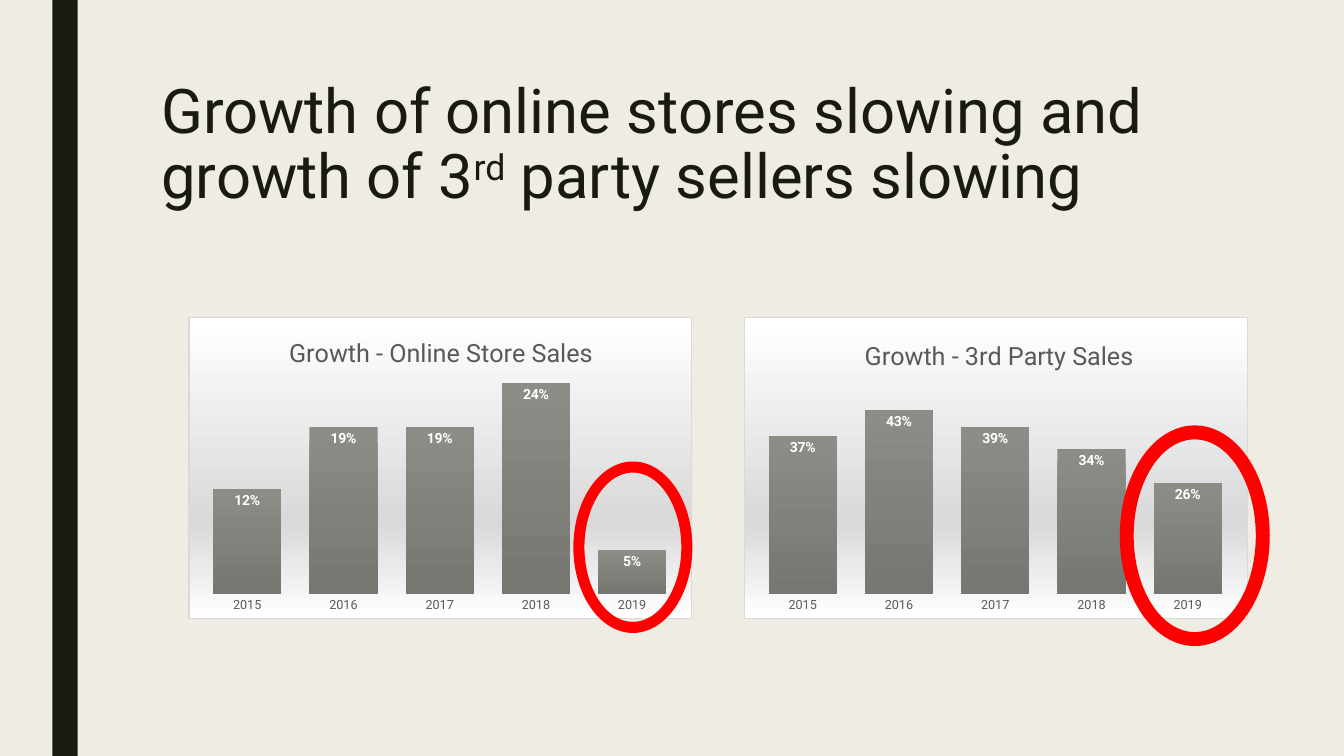
from lxml import etree
from pptx import Presentation
from pptx.chart.data import CategoryChartData
from pptx.dml.color import RGBColor
from pptx.enum.chart import XL_CHART_TYPE, XL_LABEL_POSITION, XL_TICK_MARK
from pptx.enum.shapes import MSO_SHAPE
from pptx.enum.text import MSO_ANCHOR, MSO_AUTO_SIZE, PP_ALIGN
from pptx.oxml import parse_xml
from pptx.oxml.ns import nsdecls, qn
from pptx.util import Cm, Pt

COLUMNS = XL_CHART_TYPE.COLUMN_CLUSTERED
INSIDE_END = XL_LABEL_POSITION.INSIDE_END
NO_TICKS = XL_TICK_MARK.NONE
RECTANGLE = MSO_SHAPE.RECTANGLE
DONUT = MSO_SHAPE.DONUT
TOP = MSO_ANCHOR.TOP
NO_AUTOFIT = MSO_AUTO_SIZE.NONE
LEFT = PP_ALIGN.LEFT

CREAM = RGBColor(0xEF, 0xED, 0xE3)
DARK_OLIVE = RGBColor(0x19, 0x1B, 0x0E)
RED = RGBColor(0xFF, 0x00, 0x00)
WHITE = RGBColor(0xFF, 0xFF, 0xFF)
BLACK = RGBColor(0x00, 0x00, 0x00)
SILVER = RGBColor(0xD9, 0xD9, 0xD9)
TEXT_GREY = RGBColor(0x59, 0x59, 0x59)
BAR_LIGHT = RGBColor(0x8C, 0x8D, 0x86)
BAR_DARK = RGBColor(0x76, 0x77, 0x70)

YEARS = ["2015", "2016", "2017", "2018", "2019"]


class SlideBuilder:
    font_name = "Roboto"

    def __init__(self, presentation):
        self.slide = presentation.slides.add_slide(presentation.slide_layouts[5])
        background = self.slide.background.fill
        background.solid()
        background.fore_color.rgb = CREAM

    def style_font(self, font, size, color, bold=False):
        font.name = self.font_name
        font.size = Pt(size)
        font.bold = bold
        font.color.rgb = color

    def title(self, parts, left, top, width, height):
        title = self.slide.shapes.title
        title.left, title.top = Cm(left), Cm(top)
        title.width, title.height = Cm(width), Cm(height)
        frame = title.text_frame
        frame.word_wrap = True
        frame.auto_size = NO_AUTOFIT
        frame.vertical_anchor = TOP
        paragraph = frame.paragraphs[0]
        paragraph.alignment = LEFT
        paragraph.line_spacing = 0.89
        for text, baseline in parts:
            run = paragraph.add_run()
            run.text = text
            if baseline:
                run.font._element.set("baseline", str(baseline * 1000))
        self.style_font(paragraph.font, 44, DARK_OLIVE)

    def shape(self, kind, color, left, top, width, height):
        shape = self.slide.shapes.add_shape(kind, Cm(left), Cm(top), Cm(width), Cm(height))
        shape.shadow.inherit = False
        shape.fill.solid()
        shape.fill.fore_color.rgb = color
        shape.line.fill.background()
        return shape

    def ring(self, left, top, width, height):
        self.shape(DONUT, RED, left, top, width, height).adjustments[0] = 0.093

    def place(self, parent, before, target, **fractions):
        layout = parse_xml(f"<c:layout {nsdecls('c')}><c:manualLayout/></c:layout>")
        manual = layout[0]
        if target:
            etree.SubElement(manual, qn("c:layoutTarget")).set("val", target)
        for mode in ("xMode", "yMode"):
            etree.SubElement(manual, qn(f"c:{mode}")).set("val", "edge")
        for name, value in fractions.items():
            etree.SubElement(manual, qn(f"c:{name}")).set("val", str(value))
        for existing in parent.findall(qn("c:layout")):
            parent.remove(existing)
        parent.insert(before, layout)

    def chart_background(self, chart):
        stops = "".join(
            f'<a:gs pos="{position * 1000}"><a:srgbClr val="{color}"/></a:gs>'
            for position, color in ((0, WHITE), (68, SILVER), (100, WHITE))
        )
        properties = parse_xml(
            f"<c:spPr {nsdecls('c', 'a')}><a:gradFill><a:gsLst>{stops}</a:gsLst>"
            '<a:lin ang="5400000" scaled="0"/></a:gradFill>'
            f'<a:ln w="{Pt(0.75)}"><a:solidFill><a:srgbClr val="{SILVER}"/></a:solidFill></a:ln></c:spPr>'
        )
        chart._chartSpace.find(qn("c:chart")).addnext(properties)

    def chart(self, heading, values, maximum, left, heading_x, heading_y, plot_y, plot_height):
        data = CategoryChartData(number_format="0%")
        data.categories = YEARS
        data.add_series("Series 1", values)
        chart = self.slide.shapes.add_chart(COLUMNS, Cm(left), Cm(7.98), Cm(12.7), Cm(7.62), data).chart
        self.style_font(chart.font, 10, BLACK)
        self.chart_background(chart)
        chart.has_legend = False

        chart.has_title = True
        chart.chart_title.include_in_layout = False
        paragraph = chart.chart_title.text_frame.paragraphs[0]
        paragraph.text = heading
        self.style_font(paragraph.font, 18, TEXT_GREY)
        self.place(chart.chart_title._element, 1, None, x=heading_x, y=heading_y)
        self.place(chart._chartSpace.chart.plotArea, 0, "inner", x=0.02, y=plot_y, w=0.957, h=plot_height)

        category_axis = chart.category_axis
        category_axis.major_tick_mark = NO_TICKS
        category_axis.format.line.fill.background()
        self.style_font(category_axis.tick_labels.font, 9, TEXT_GREY)
        value_axis = chart.value_axis
        value_axis.minimum_scale, value_axis.maximum_scale = 0, maximum
        value_axis.has_major_gridlines = False
        value_axis.tick_labels.number_format = "0%"
        value_axis.visible = False

        plot = chart.plots[0]
        plot.gap_width = 41
        plot.vary_by_categories = False
        series = plot.series[0]
        fill = series.format.fill
        fill.gradient()
        fill.gradient_angle = 270
        for stop, color in zip(fill.gradient_stops, (BAR_LIGHT, BAR_DARK)):
            stop.color.rgb = color
        labels = series.data_labels
        labels.show_value = True
        labels.position = INSIDE_END
        labels.number_format = "0%"
        labels.number_format_is_linked = False
        self.style_font(labels.font, 10, WHITE, bold=True)


def main():
    presentation = Presentation()
    presentation.slide_width, presentation.slide_height = Cm(33.87), Cm(19.05)
    builder = SlideBuilder(presentation)
    builder.shape(RECTANGLE, DARK_OLIVE, 1.32, 0, 0.64, 19.05)
    builder.title(
        [
            ("Growth of online stores slowing and growth of 3", 0),
            ("rd", 30),
            (" party sellers slowing", 0),
        ],
        3.81, 1.9, 26.67, 4.11,
    )
    builder.chart("Growth - Online Store Sales", (0.12, 0.19, 0.19, 0.24, 0.05), 0.25, 4.75, 0.19, 0.05, 0.19, 0.73)
    builder.chart("Growth - 3rd Party Sales", (0.37, 0.43, 0.39, 0.34, 0.26), 0.5, 18.75, 0.23, 0.06, 0.21, 0.71)
    builder.ring(14.45, 11.63, 3, 4.32)
    builder.ring(28.22, 10.72, 3.78, 5.56)
    presentation.save("out.pptx")


if __name__ == "__main__":
    main()
